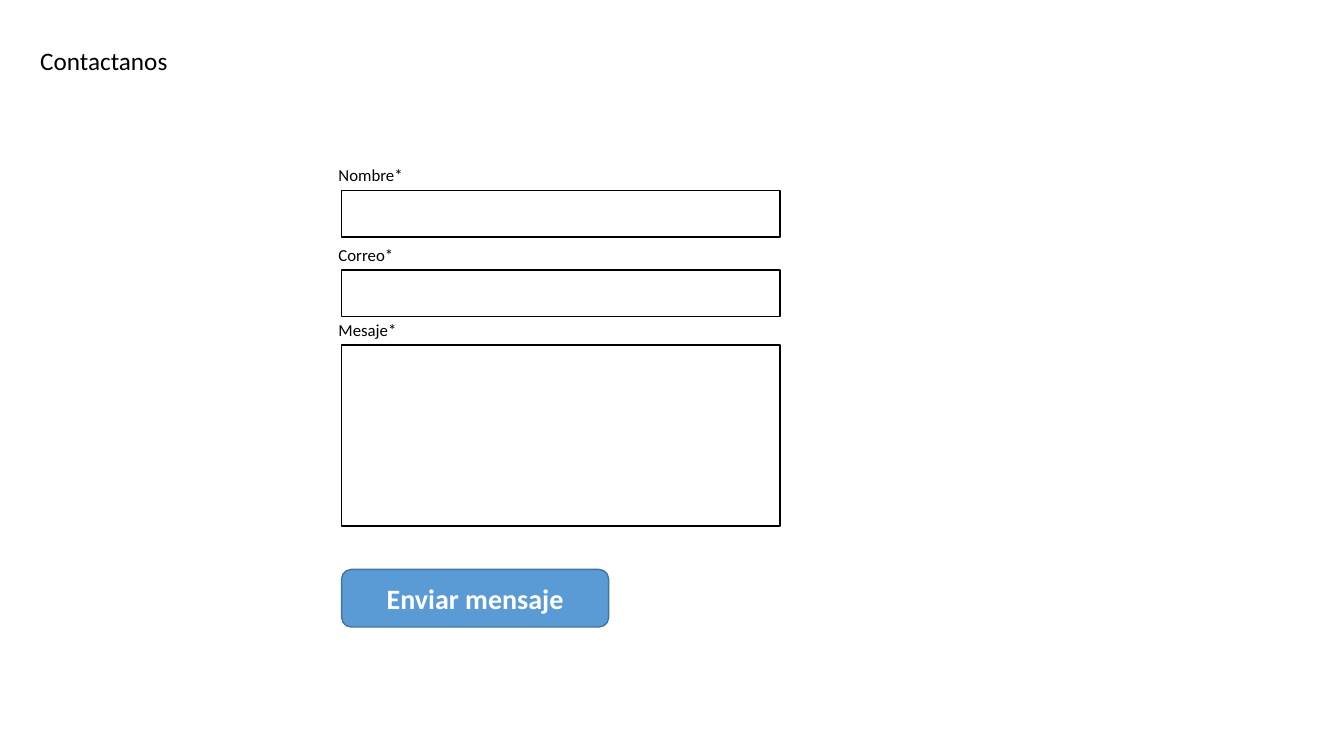
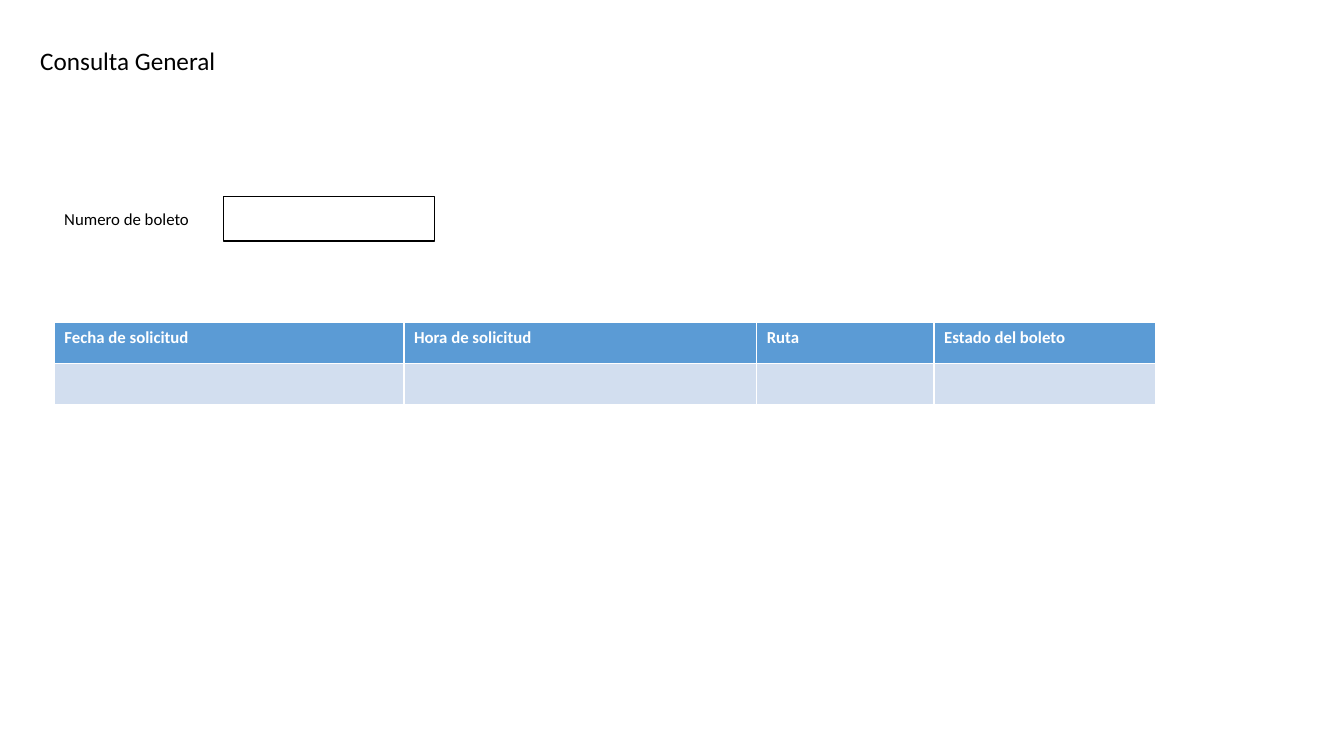
from pptx import Presentation
from pptx.dml.color import RGBColor
from pptx.enum.shapes import MSO_SHAPE
from pptx.enum.text import MSO_ANCHOR, MSO_AUTO_SIZE, PP_ALIGN
from pptx.util import Cm, Pt

BLACK = RGBColor(0x00, 0x00, 0x00)
WHITE = RGBColor(0xFF, 0xFF, 0xFF)
BLUE = RGBColor(0x5B, 0x9B, 0xD5)
EDGE = RGBColor(0x43, 0x73, 0x9E)
PALE = RGBColor(0xD2, 0xDE, 0xEF)
RECT, ROUND = MSO_SHAPE.RECTANGLE, MSO_SHAPE.ROUNDED_RECTANGLE
TOP, MIDDLE = MSO_ANCHOR.TOP, MSO_ANCHOR.MIDDLE
LEFT, CENTER = PP_ALIGN.LEFT, PP_ALIGN.CENTER
NO_FIT = MSO_AUTO_SIZE.NONE

# Text styles
TITLE = {"name": "Calibri", "size": Pt(18), "bold": False, "color": BLACK}
LABEL = TITLE | {"size": Pt(12)}
HEAD = LABEL | {"bold": True, "color": WHITE}
BUTTON = HEAD | {"size": Pt(20)}
FRAME = {"word_wrap": False, "auto_size": NO_FIT, "vertical_anchor": TOP}


def write(frame, text, style, align=LEFT):
    para = frame.paragraphs[0]
    para.alignment = align
    run = para.add_run()
    run.text = text
    for key, value in style.items():
        if key == "color":
            run.font.color.rgb = value
        else:
            setattr(run.font, key, value)


def draw(slide, kind, place, fill, line):
    shape = slide.shapes.add_shape(kind, *map(Cm, place))
    shape.shadow.inherit = False
    shape.fill.solid()
    shape.fill.fore_color.rgb = fill
    shape.line.color.rgb = line
    shape.line.width = Pt(1)
    return shape


deck = Presentation()
deck.slide_width, deck.slide_height = Cm(33.87), Cm(19.05)

# Slides and titles
slides = []
for text, width in (("Contactanos", 3.76), ("Consulta General", 4.98)):
    slide = deck.slides.add_slide(deck.slide_layouts[5])
    title = slide.shapes.title
    title.left, title.top = Cm(0.76), Cm(1.02)
    title.width, title.height = Cm(width), Cm(1.02)
    for key, value in FRAME.items():
        setattr(title.text_frame, key, value)
    write(title.text_frame, text, TITLE)
    slides.append(slide)
form, query = slides

# Form fields: slide, label, label place, field place
FIELD_X, FIELD_W = 8.61, 11.05
fields = [(query, "Numero de boleto", (1.37, 5.13, 3.68), (5.64, 4.95, 5.31, 1.12))]
for text, width, top, height in (
    ("Nombre*", 2.16, 4.8, 1.17),
    ("Correo*", 1.9, 6.8, 1.17),
    ("Mesaje*", 2.01, 8.69, 4.57),
):
    fields.append((form, text, (8.28, top - 0.77, width),
                   (FIELD_X, top, FIELD_W, height)))

for slide, text, spot, place in fields:
    draw(slide, RECT, place, WHITE, BLACK)
    label = slide.shapes.add_textbox(*map(Cm, spot), Cm(0.77))
    for key, value in FRAME.items():
        setattr(label.text_frame, key, value)
    write(label.text_frame, text, LABEL)

# Send button
send = draw(form, ROUND, (FIELD_X, 14.35, 6.73, 1.45), BLUE, EDGE)
send.text_frame.vertical_anchor = MIDDLE
write(send.text_frame, "Enviar mensaje", BUTTON, CENTER)

# Ticket table
heads = {"Fecha de solicitud": 8.81, "Hora de solicitud": 8.89,
         "Ruta": 4.47, "Estado del boleto": 5.59}
table = query.shapes.add_table(2, len(heads), Cm(1.37), Cm(8.13),
                               Cm(sum(heads.values())), Cm(2.06)).table
for col, (text, width) in enumerate(heads.items()):
    table.columns[col].width = Cm(width)
    for row, fill in enumerate((BLUE, PALE)):
        cell = table.cell(row, col)
        cell.fill.solid()
        cell.fill.fore_color.rgb = fill
    write(table.cell(0, col).text_frame, text, HEAD)

deck.save("out.pptx")
